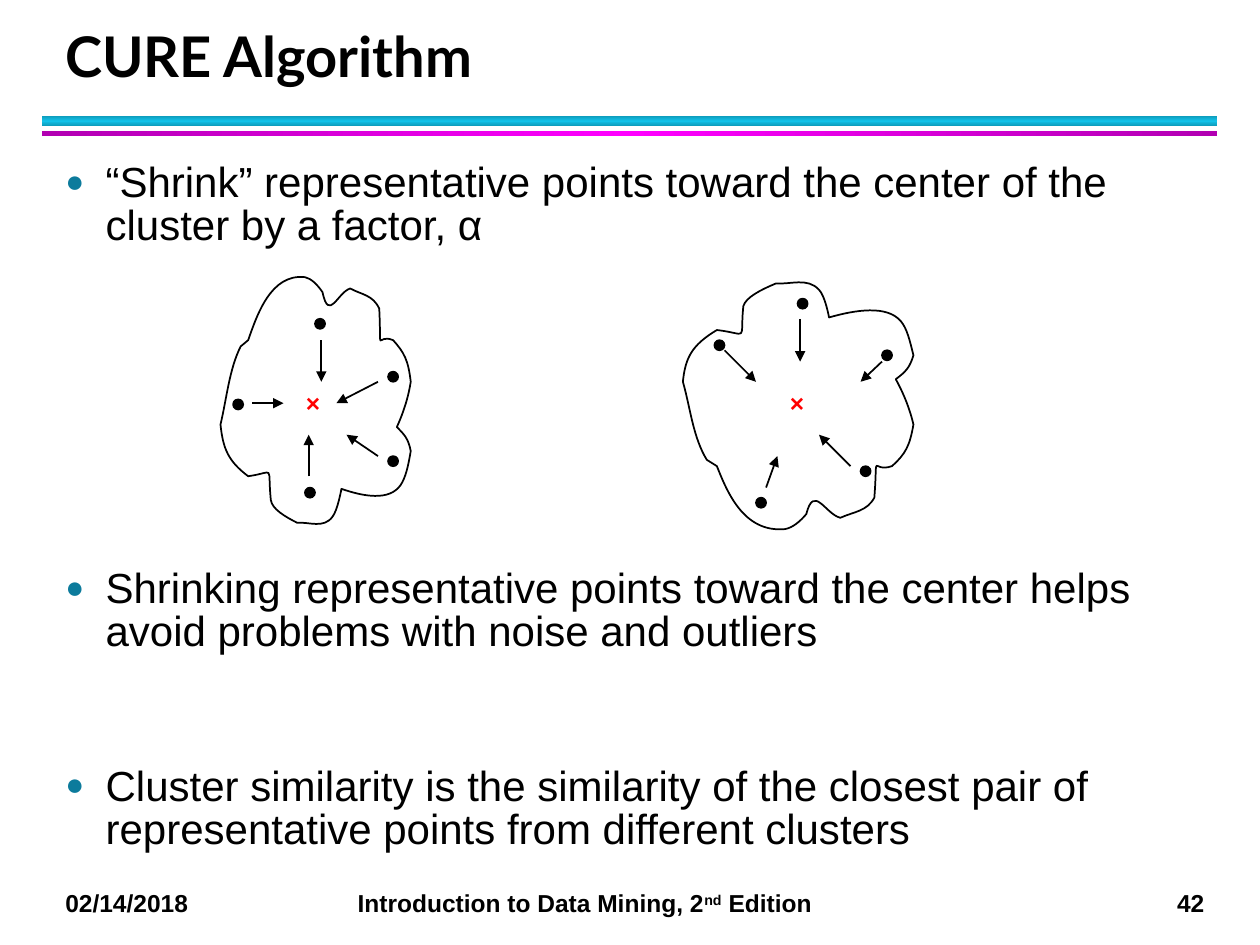
from copy import deepcopy
from typing import NamedTuple

from lxml.etree import SubElement
from pptx import Presentation
from pptx.dml.color import RGBColor
from pptx.enum.shapes import MSO_CONNECTOR as Connector, MSO_SHAPE as Preset
from pptx.enum.text import MSO_ANCHOR as Anchor
from pptx.oxml.ns import qn
from pptx.util import Emu, Pt

PX = 9144
BLACK = RGBColor(0x00, 0x00, 0x00)
RED = RGBColor(0xFF, 0x00, 0x00)
TEAL = RGBColor(0x0C, 0x7B, 0x9C)
CYAN = RGBColor(0x12, 0xC2, 0xE9)
DARK_CYAN = RGBColor(0x0E, 0x9B, 0xBA)
MAGENTA = RGBColor(0xFF, 0x00, 0xFF)
DARK_MAGENTA = RGBColor(0xB2, 0x00, 0xB2)
DOT = 8

Point = tuple[int, int]


class Rule(NamedTuple):
    top: int
    height: int
    edge: RGBColor
    middle: RGBColor
    angle: int


class Bullet(NamedTuple):
    text: str
    gap_pt: int


class Cluster(NamedTuple):
    outline: list[Point]
    representatives: list[Point]
    shrink_arrows: list[tuple[Point, Point]]
    center: Point


RULES = [
    Rule(92, 8, DARK_CYAN, CYAN, 90),
    Rule(104, 4, DARK_MAGENTA, MAGENTA, 0),
]
BULLETS = [
    Bullet("“Shrink” representative points toward the center of the cluster by a factor, α", 0),
    Bullet("Shrinking representative points toward the center helps avoid problems with noise and outliers", 183),
    Bullet("Cluster similarity is the similarity of the closest pair of representative points from different clusters", 64),
]
OUTLINE = [
    (191, 275), (182, 293), (180, 316), (175, 337), (177, 356), (181, 366), (197, 378),
    (219, 375), (212, 368), (215, 397), (216, 404), (226, 410), (236, 415),
    (245, 414), (257, 420), (264, 410), (268, 405), (271, 388), (271, 388),
    (288, 394), (309, 398), (318, 385), (322, 379), (324, 370), (326, 358),
    (324, 348), (321, 345), (315, 339), (320, 328), (324, 316), (326, 303),
    (324, 286), (321, 280), (312, 270), (298, 264), (303, 285), (301, 245),
    (296, 234), (287, 234), (278, 229), (268, 232), (261, 256), (256, 232),
    (252, 226), (247, 221), (242, 220), (215, 217), (204, 250), (197, 270),
]
MIRRORED_OUTLINE = [(round(542 + (x - 175) * 1.21), 640 - y) for x, y in OUTLINE]
CLUSTERS = [
    Cluster(
        OUTLINE,
        representatives=[(242, 387), (250, 253), (185, 317), (308, 295), (308, 362)],
        shrink_arrows=[
            ((255, 270), (255, 303)), ((300, 303), (267, 320)), ((300, 362), (275, 345)),
            ((245, 378), (245, 345)), ((200, 320), (225, 320)),
        ],
        center=(233, 303),
    ),
    Cluster(
        MIRRORED_OUTLINE,
        representatives=[(700, 278), (567, 270), (600, 395), (633, 237), (683, 370)],
        shrink_arrows=[
            ((635, 253), (635, 287)), ((575, 278), (600, 303)), ((700, 287), (683, 303)),
            ((675, 370), (650, 345)), ((608, 387), (617, 362)),
        ],
        center=(617, 303),
    ),
]


def px(*lengths: int) -> list[Emu]:
    return [Emu(length * PX) for length in lengths]


def add_frame(slide, left: int, top: int, width: int, height: int):
    frame = slide.shapes.add_textbox(*px(left, top, width, height)).text_frame
    frame.word_wrap = True
    return frame


def add_run(paragraph, text: str, size: int, color=BLACK, bold=False, face="Arial"):
    run = paragraph.add_run()
    run.text = text
    run.font.name, run.font.size, run.font.bold = face, Pt(size), bold
    run.font.color.rgb = color
    return run


def draw_rule(slide, rule: Rule) -> None:
    bar = slide.shapes.add_shape(Preset.RECTANGLE, *px(33, rule.top, 933, rule.height))
    bar.shadow.inherit = False
    bar.line.fill.background()
    bar.fill.gradient()
    bar.fill.gradient_angle = rule.angle
    stops = bar._element.spPr.find(".//" + qn("a:gsLst"))
    stops.insert(1, deepcopy(stops[0]))
    colors = (rule.edge, rule.middle, rule.edge)
    for stop, color, position in zip(bar.fill.gradient_stops, colors, (0, 0.5, 1)):
        stop.color.rgb = color
        stop.position = position


def draw_outline(slide, points: list[Point]) -> None:
    builder = slide.shapes.build_freeform(*points[0], scale=PX)
    builder.add_line_segments(points[1:], close=True)
    blob = builder.convert_to_shape()
    blob.shadow.inherit = False
    blob.fill.background()
    blob.line.color.rgb = BLACK
    blob.line.width = Pt(1)
    route = blob._element.spPr.find(".//" + qn("a:path"))
    segments = route.findall(qn("a:lnTo"))
    for start in range(0, len(segments), 3):
        curve = SubElement(route, qn("a:cubicBezTo"))
        segments[start].addprevious(curve)
        for segment in segments[start:start + 3]:
            curve.append(segment[0])
            route.remove(segment)


def draw_representative(slide, left: int, top: int) -> None:
    dot = slide.shapes.add_shape(Preset.OVAL, *px(left, top, DOT, DOT))
    dot.shadow.inherit = False
    dot.fill.solid()
    dot.fill.fore_color.rgb = BLACK
    dot.line.color.rgb = BLACK
    dot.line.width = Pt(1)


def draw_arrow(slide, tail: Point, tip: Point) -> None:
    arrow = slide.shapes.add_connector(Connector.STRAIGHT, *px(*tail, *tip))
    arrow.line.color.rgb = BLACK
    arrow.line.width = Pt(1)
    SubElement(arrow.line._get_or_add_ln(), qn("a:tailEnd"), type="triangle")
    SubElement(arrow._element.spPr, qn("a:effectLst"))


def draw_cluster(slide, cluster: Cluster) -> None:
    draw_outline(slide, cluster.outline)
    for left, top in cluster.representatives:
        draw_representative(slide, left, top)
    for tail, tip in cluster.shrink_arrows:
        draw_arrow(slide, tail, tip)
    mark = add_frame(slide, *cluster.center, 25, 33)
    add_run(mark.paragraphs[0], "×", 14, RED, True)


def write_bullet(paragraph, bullet: Bullet) -> None:
    props = paragraph._p.get_or_add_pPr()
    props.set("marL", str(32 * PX))
    props.set("indent", str(-32 * PX))
    SubElement(SubElement(props, qn("a:buClr")), qn("a:srgbClr"), val=str(TEAL))
    SubElement(props, qn("a:buSzPct"), val="75000")
    SubElement(props, qn("a:buFont"), typeface="Arial")
    SubElement(props, qn("a:buChar"), char="●")
    paragraph.line_spacing = 0.85
    paragraph.space_before = Pt(bullet.gap_pt)
    add_run(paragraph, bullet.text, 24)


def write_footer(slide) -> None:
    footer = add_frame(slide, 42, 700, 933, 34).paragraphs[0]
    tabs = SubElement(footer._p.get_or_add_pPr(), qn("a:tabLst"))
    for position, side in ((232, "l"), (904, "r")):
        SubElement(tabs, qn("a:tab"), pos=str(position * PX), algn=side)
    add_run(footer, "02/14/2018\tIntroduction to Data Mining, 2", 14, bold=True)
    ordinal = add_run(footer, "nd", 14, bold=True)
    ordinal.font._element.set("baseline", "30000")
    add_run(footer, " Edition\t42", 14, bold=True)


def main() -> None:
    deck = Presentation()
    deck.slide_width, deck.slide_height = px(1000, 750)
    slide = deck.slides.add_slide(deck.slide_layouts[6])
    for rule in RULES:
        draw_rule(slide, rule)
    write_footer(slide)
    body = add_frame(slide, 42, 125, 910, 567)
    for index, bullet in enumerate(BULLETS):
        write_bullet(body.add_paragraph() if index else body.paragraphs[0], bullet)
    heading = add_frame(slide, 42, 17, 906, 58)
    heading.vertical_anchor = Anchor.BOTTOM
    heading.paragraphs[0].line_spacing = Pt(36)
    add_run(heading.paragraphs[0], "CURE Algorithm", 32, bold=True, face="Lato")
    for cluster in CLUSTERS:
        draw_cluster(slide, cluster)
    deck.save("out.pptx")


if __name__ == "__main__":
    main()
